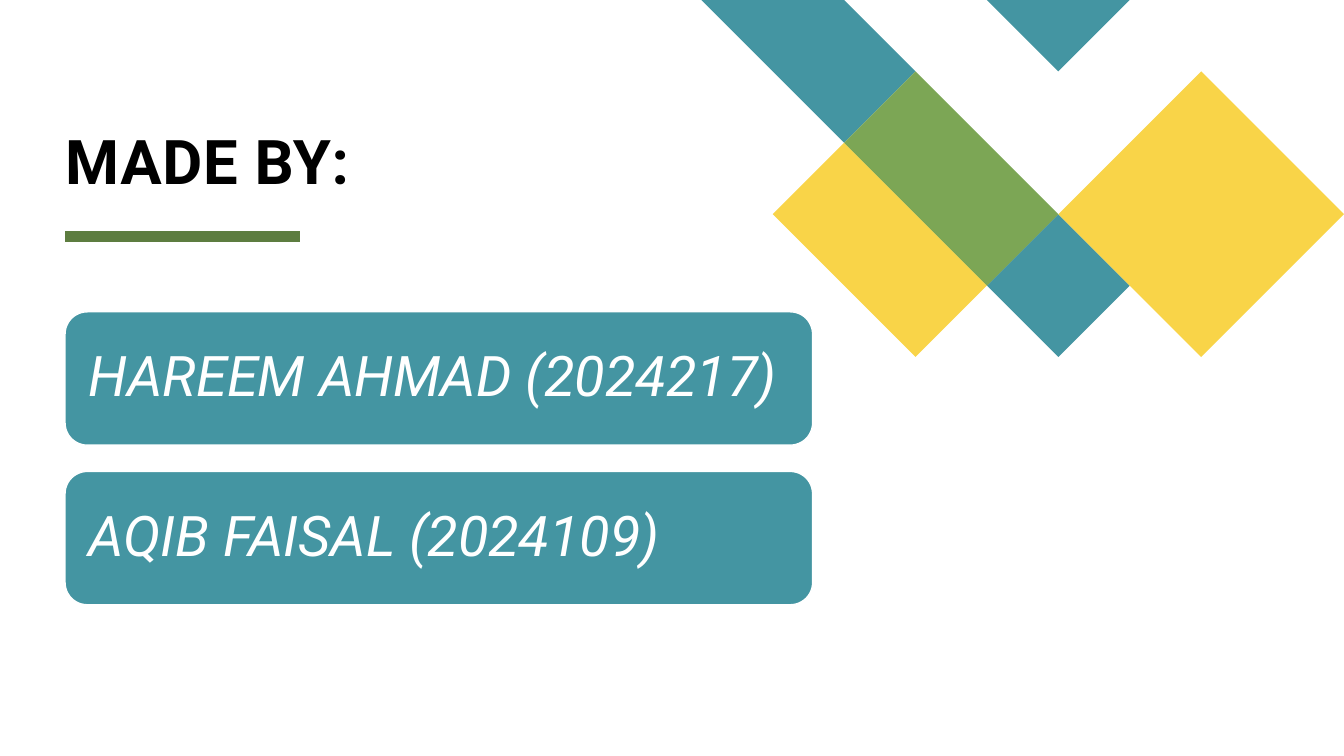
from dataclasses import dataclass

from pptx import Presentation
from pptx.dml.color import RGBColor
from pptx.enum.shapes import MSO_CONNECTOR, MSO_SHAPE
from pptx.enum.text import MSO_ANCHOR, MSO_AUTO_SIZE, PP_ALIGN
from pptx.oxml.ns import qn
from pptx.util import Pt
from lxml.etree import SubElement

PX = 9525  # EMU; the slide is 1280 by 720 px


@dataclass(frozen=True)
class Theme:
    font: str = "Roboto"
    black: RGBColor = RGBColor(0x00, 0x00, 0x00)
    white: RGBColor = RGBColor(0xFF, 0xFF, 0xFF)
    teal: RGBColor = RGBColor(0x44, 0x95, 0xA2)
    yellow: RGBColor = RGBColor(0xF9, 0xD4, 0x48)
    green: RGBColor = RGBColor(0x7C, 0xA6, 0x55)
    dark_green: RGBColor = RGBColor(0x5D, 0x7D, 0x40)
    title_size: Pt = Pt(44)
    card_size: Pt = Pt(40)


THEME = Theme()

LEFT, COLUMN_WIDTH = 62, 712
CARD_TOP, CARD_HEIGHT, CARD_PITCH = 297, 127, 152
LATTICE_LEFT, LATTICE_STEP = 668, 68

# Corners are (column, row) on the lattice.
LATTICE_TILES = [
    (THEME.teal, [(0, 0), (2, 0), (3, 1), (2, 2)]),
    (THEME.teal, [(5, 3), (6, 4), (5, 5), (4, 4)]),
    (THEME.yellow, [(2, 2), (4, 4), (3, 5), (1, 3)]),
    (THEME.teal, [(4, 0), (6, 0), (5, 1)]),
    (THEME.green, [(3, 1), (5, 3), (4, 4), (2, 2)]),
    (THEME.yellow, [(7, 1), (9, 3), (7, 5), (5, 3)]),
]
MEMBERS = ["HAREEM AHMAD (2024217)", "AQIB FAISAL (2024109)"]


def px(*lengths):
    return [n * PX for n in lengths]


def write_text(tf, text, size, color, spacing, bold=False, italic=False):
    tf.word_wrap = True
    tf.auto_size = MSO_AUTO_SIZE.NONE
    tf.text = text
    p = tf.paragraphs[0]
    p.alignment = PP_ALIGN.LEFT
    p.line_spacing = spacing
    font = p.font
    font.name, font.size = THEME.font, size
    font.bold, font.italic = bold, italic
    font.color.rgb = color
    return p


def add_tile(slide, color, corners):
    points = [(LATTICE_LEFT + col * LATTICE_STEP, row * LATTICE_STEP)
              for col, row in corners]
    builder = slide.shapes.build_freeform(*points[0], scale=PX)
    builder.add_line_segments(points[1:], close=True)
    sp = builder.convert_to_shape()
    sp.shadow.inherit = False
    sp.fill.solid()
    sp.fill.fore_color.rgb = color
    sp.line.fill.background()


def add_rule(slide, left, y, right):
    line = slide.shapes.add_connector(MSO_CONNECTOR.STRAIGHT, *px(left, y, right, y))
    line.line.color.rgb = THEME.dark_green
    line.line.width = Pt(8)
    SubElement(line._element.spPr, qn("a:effectLst"))


def set_title(slide, text):
    title = slide.shapes.title
    title.left, title.top, title.width, title.height = px(LEFT, 20, COLUMN_WIDTH, 167)
    tf = title.text_frame
    tf.margin_left = tf.margin_top = tf.margin_right = tf.margin_bottom = 0
    tf.vertical_anchor = MSO_ANCHOR.BOTTOM
    p = write_text(tf, text, THEME.title_size, THEME.black, 0.8, bold=True)
    p.runs[0].font._element.set("spc", "50")


def add_card(slide, text, top):
    sp = slide.shapes.add_shape(MSO_SHAPE.ROUNDED_RECTANGLE,
                                *px(LEFT, top, COLUMN_WIDTH, CARD_HEIGHT))
    sp.shadow.inherit = False
    sp.fill.solid()
    sp.fill.fore_color.rgb = THEME.teal
    sp.line.color.rgb = THEME.white
    sp.line.width = Pt(1)
    tf = sp.text_frame
    # The rounded corners already inset the text by 6 px.
    tf.margin_left = tf.margin_right = 16 * PX
    tf.vertical_anchor = MSO_ANCHOR.MIDDLE
    write_text(tf, text, THEME.card_size, THEME.white, 0.9, italic=True)


def main():
    prs = Presentation()
    prs.slide_width, prs.slide_height = px(1280, 720)
    slide = prs.slides.add_slide(prs.slide_layouts[5])
    for color, corners in LATTICE_TILES:
        add_tile(slide, color, corners)
    add_rule(slide, LEFT, 225, 286)
    set_title(slide, "MADE BY:")
    for i, member in enumerate(MEMBERS):
        add_card(slide, member, CARD_TOP + i * CARD_PITCH)
    prs.save("out.pptx")


if __name__ == "__main__":
    main()
